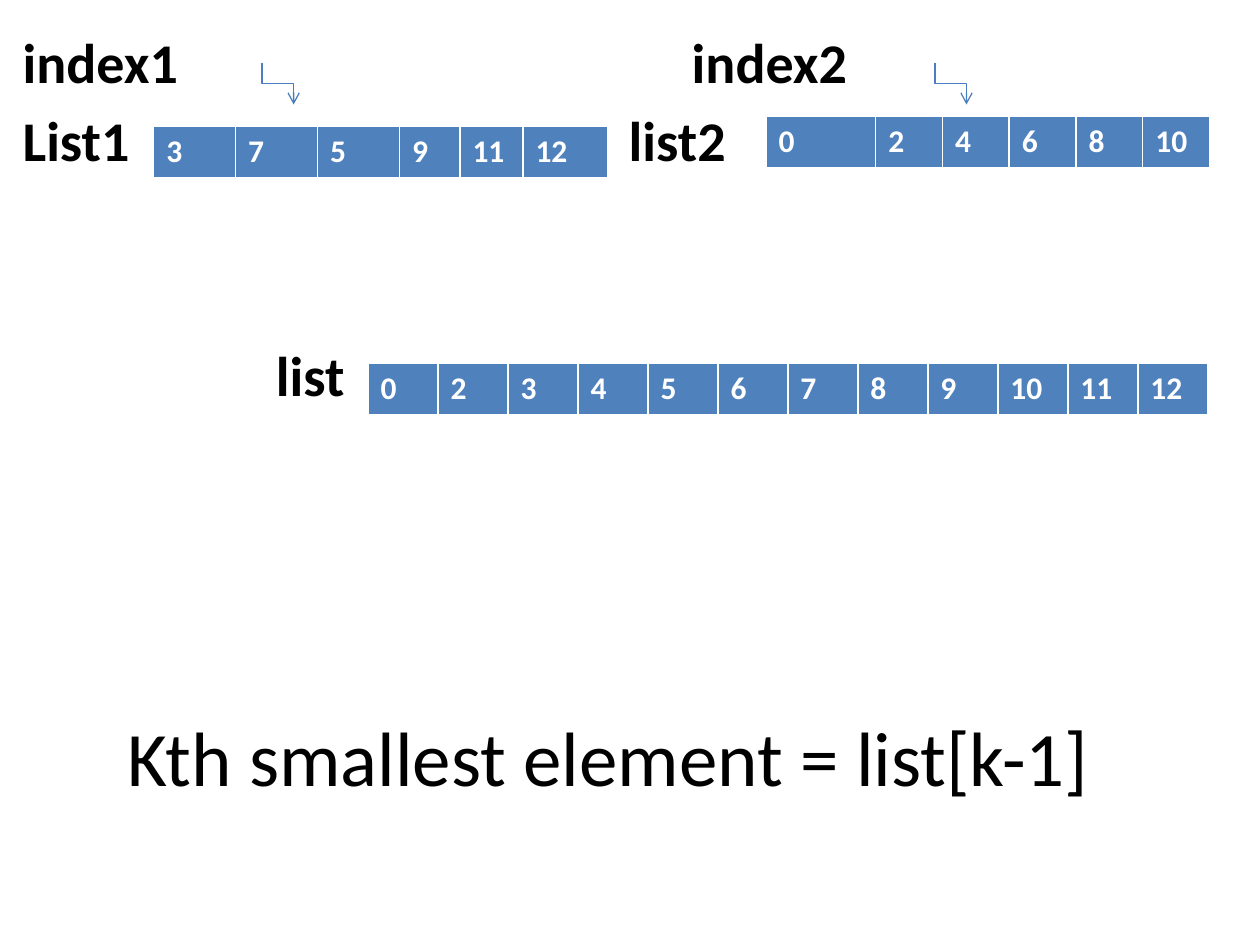
from lxml.etree import SubElement
from pptx import Presentation
from pptx.dml.color import RGBColor
from pptx.enum.shapes import MSO_CONNECTOR
from pptx.enum.text import MSO_ANCHOR, PP_ALIGN
from pptx.oxml.ns import qn
from pptx.util import Inches, Pt


def style(font, size, color, bold):
    font.name, font.size, font.bold = "Calibri", Pt(size), bold
    font.color.rgb = RGBColor.from_string(color)


def add_text(text, left, top, width, height, size, bold):
    box = page.shapes.add_textbox(*map(Inches, (left, top, width, height)))
    frame = box.text_frame
    frame.word_wrap = True
    frame.margin_left = frame.margin_right = 0
    frame.margin_top = frame.margin_bottom = 0
    para = frame.paragraphs[0]
    para.text = text
    style(para.font, size, "000000", bold)
    return frame


deck = Presentation()
deck.slide_width, deck.slide_height = Inches(10), Inches(7.5)
page = deck.slides.add_slide(deck.slide_layouts[6])

# Labels sit on evenly spaced text lines
FIRST_LINE, LINE_STEP = 0.22, 0.62
for text, left, line, width in [
    ("index1", 0.18, 0, 1.5),
    ("index2", 5.49, 0, 1.5),
    ("List1", 0.18, 1, 1),
    ("list2", 4.99, 1, 1),
    ("list", 2.19, 4, 0.7),
]:
    add_text(text, left, FIRST_LINE + line * LINE_STEP, width, 0.54, 32, True)

frame = add_text("Kth smallest element = list[k-1]", 0.58, 4.75, 8.5, 2.5, 44, False)
frame.vertical_anchor = MSO_ANCHOR.MIDDLE
frame.paragraphs[0].alignment = PP_ALIGN.CENTER

# Two input lists and the merged list
ROW_HEIGHT = 0.41
for left, top, values, widths in [
    (1.22, 1, [3, 7, 5, 9, 11, 12], [0.65] * 3 + [0.48, 0.5, 0.67]),
    (6.08, 0.92, [0, 2, 4, 6, 8, 10], [0.87] + [0.53] * 5),
    (2.92, 2.88, [0, *range(2, 13)], [6.67 / 12] * 12),
]:
    table = page.shapes.add_table(
        1, len(values), Inches(left), Inches(top), Inches(sum(widths)), Inches(ROW_HEIGHT)
    ).table
    for column, (value, width) in enumerate(zip(values, widths)):
        table.columns[column].width = Inches(width)
        cell = table.cell(0, column)
        cell.fill.solid()
        cell.fill.fore_color.rgb = RGBColor.from_string("4F81BD")
        para = cell.text_frame.paragraphs[0]
        para.text = str(value)
        style(para.font, 18, "FFFFFF", True)

# Index pointers: elbows turned a quarter so that they run down, right, down
for left in (2.04, 7.38):
    pointer = page.shapes.add_connector(
        MSO_CONNECTOR.ELBOW, Inches(left + 0.33), Inches(0.54), Inches(left), Inches(0.79)
    )
    pointer.line.color.rgb = RGBColor.from_string("4B7EBC")
    pointer.line.width = Pt(0.75)
    properties = pointer._element.spPr
    properties.find(qn("a:xfrm")).set("rot", str(270 * 60000))
    SubElement(properties.find(qn("a:ln")), qn("a:tailEnd"), type="arrow")
    SubElement(properties, qn("a:effectLst"))

deck.save("out.pptx")
